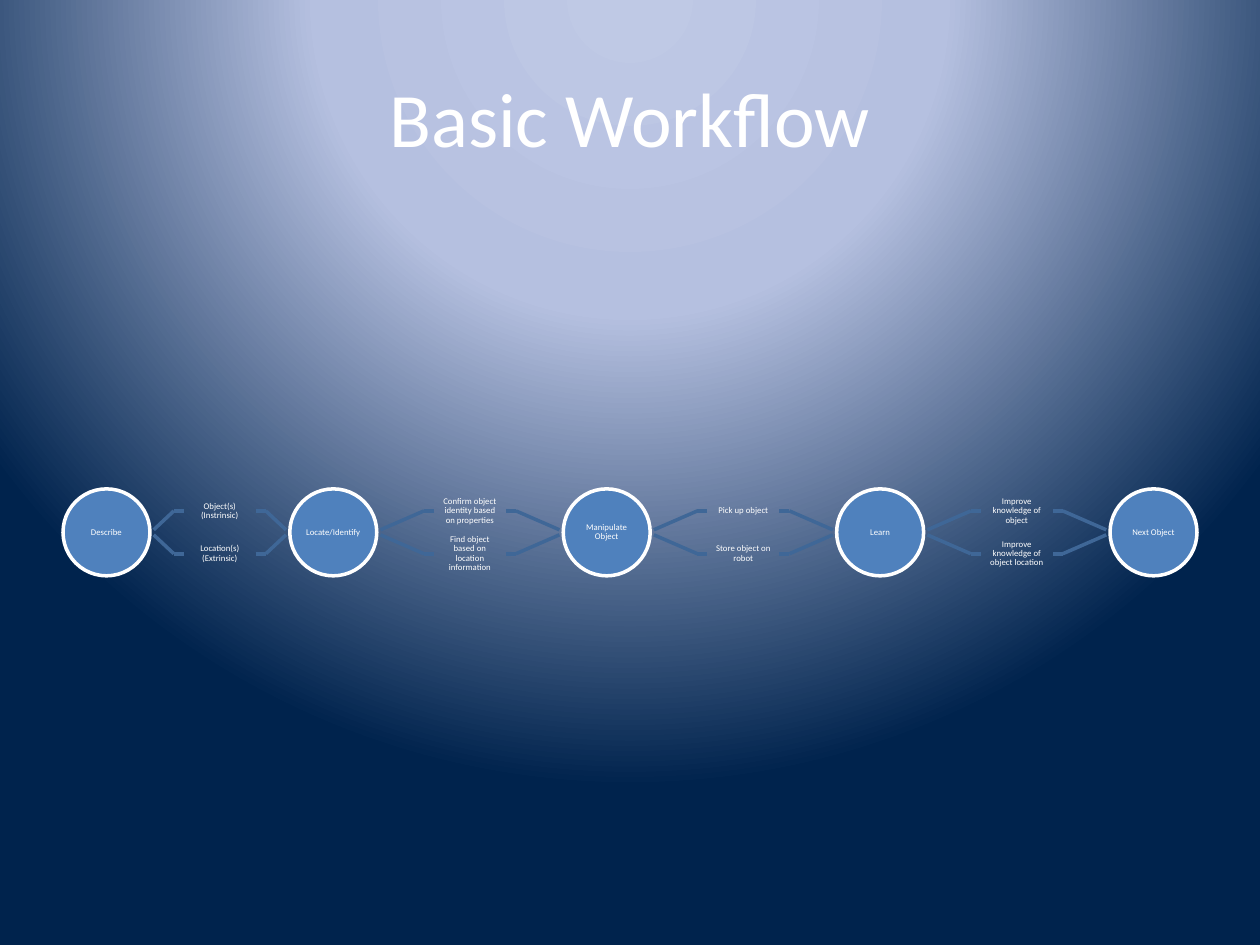
from pptx import Presentation
from pptx import oxml, util as u
from pptx.dml import color
from pptx.enum import shapes, text
from pptx.oxml import ns
from lxml import etree

COLORS = {
    "white": "FFFFFF", "circle": "4F81BD", "branch": "3F6797",
    "glow": "BFC9E5", "halo": "B5C0E0", "navy": "00234D",
}
FONT = "Calibri"
DIAMETER = 0.69
CIRCLE_TOP = 3.88
LABEL_WIDTH, LABEL_HEIGHT = 0.57, 0.34
STUB = 0.08
GAP = 0.03
SPREAD = 0.02
CENTER = CIRCLE_TOP + DIAMETER / 2
STAGES = [
    (0.5, "Describe"), (2.3, "Locate/Identify"), (4.47, "Manipulate Object"),
    (6.64, "Learn"), (8.81, "Next Object"),
]
BRANCHES = [
    ("Object(s) (Instrinsic)", "Location(s) (Extrinsic)"),
    ("Confirm object identity based on properties",
     "Find object based on location information"),
    ("Pick up object", "Store object on robot"),
    ("Improve knowledge of object", "Improve knowledge of object location"),
]


def rgb(name):
    return color.RGBColor.from_string(COLORS[name])


def set_background(slide):
    stops = "".join(
        f'<a:gs pos="{position * 1000}"><a:srgbClr val="{COLORS[name]}"/></a:gs>'
        for position, name in ((0, "glow"), (40, "halo"), (100, "navy")))
    background = oxml.parse_xml(
        f'<p:bg {ns.nsdecls("p", "a")}><p:bgPr><a:gradFill rotWithShape="1">'
        f'<a:gsLst>{stops}</a:gsLst><a:path path="circle">'
        '<a:fillToRect l="50000" t="-80000" r="50000" b="180000"/></a:path>'
        '</a:gradFill><a:effectLst/></p:bgPr></p:bg>')
    slide.element.cSld.insert(0, background)


def set_text(shape, words, size, inset, spacing=1.0):
    frame = shape.text_frame
    frame.text = words
    frame.word_wrap = True
    frame.vertical_anchor = text.MSO_ANCHOR.MIDDLE
    frame.margin_left = frame.margin_right = u.Inches(inset)
    frame.margin_top = frame.margin_bottom = u.Inches(inset)
    paragraph = frame.paragraphs[0]
    paragraph.alignment = text.PP_ALIGN.CENTER
    paragraph.line_spacing = spacing
    font = paragraph.runs[0].font
    font.name, font.size = FONT, u.Pt(size)
    font.color.rgb = rgb("white")


def add_text(container, box, words, size, inset, spacing=1.0):
    shape = container.shapes.add_textbox(*map(u.Inches, box))
    set_text(shape, words, size, inset, spacing)


def add_circle(container, left, words):
    shape = container.shapes.add_shape(
        shapes.MSO_SHAPE.OVAL,
        *map(u.Inches, (left, CIRCLE_TOP, DIAMETER, DIAMETER)))
    shape.shadow.inherit = False
    shape.fill.solid()
    shape.fill.fore_color.rgb = rgb("circle")
    shape.line.color.rgb = rgb("white")
    shape.line.width = u.Pt(2)
    set_text(shape, words, 5, 0, 0.9)


def add_line(container, start, end):
    line = container.shapes.add_connector(
        shapes.MSO_CONNECTOR.STRAIGHT, *map(u.Inches, start + end))
    line.line.color.rgb = rgb("branch")
    line.line.width = u.Pt(2)
    etree.SubElement(line.element.spPr, ns.qn("a:effectLst"))


def add_branch(container, circle_edge, next_edge, side, words):
    middle = (circle_edge + next_edge) / 2
    row = CENTER + side * LABEL_HEIGHT / 2
    for edge, direction in ((circle_edge, 1), (next_edge, -1)):
        label_edge = middle - direction * LABEL_WIDTH / 2
        bend = (label_edge - direction * STUB, row)
        add_line(container, (edge + direction * GAP, CENTER + side * SPREAD), bend)
        add_line(container, bend, (label_edge, row))
    box = (middle - LABEL_WIDTH / 2, row - LABEL_HEIGHT / 2,
           LABEL_WIDTH, LABEL_HEIGHT)
    add_text(container, box, words, 5, 0.04, 0.9)


def main():
    presentation = Presentation()
    presentation.slide_width = u.Inches(10)
    presentation.slide_height = u.Inches(7.5)
    slide = presentation.slides.add_slide(presentation.slide_layouts[6])
    set_background(slide)
    add_text(slide, (0.5, 0.3, 9, 1.25), "Basic Workflow", 44, 0.1)
    workflow = slide.shapes.add_group_shape()
    for left, words in STAGES:
        add_circle(workflow, left, words)
    for (left, _), (next_left, _), labels in zip(STAGES, STAGES[1:], BRANCHES):
        for side, words in zip((-1, 1), labels):
            add_branch(workflow, left + DIAMETER, next_left, side, words)
    presentation.save("out.pptx")


main()
